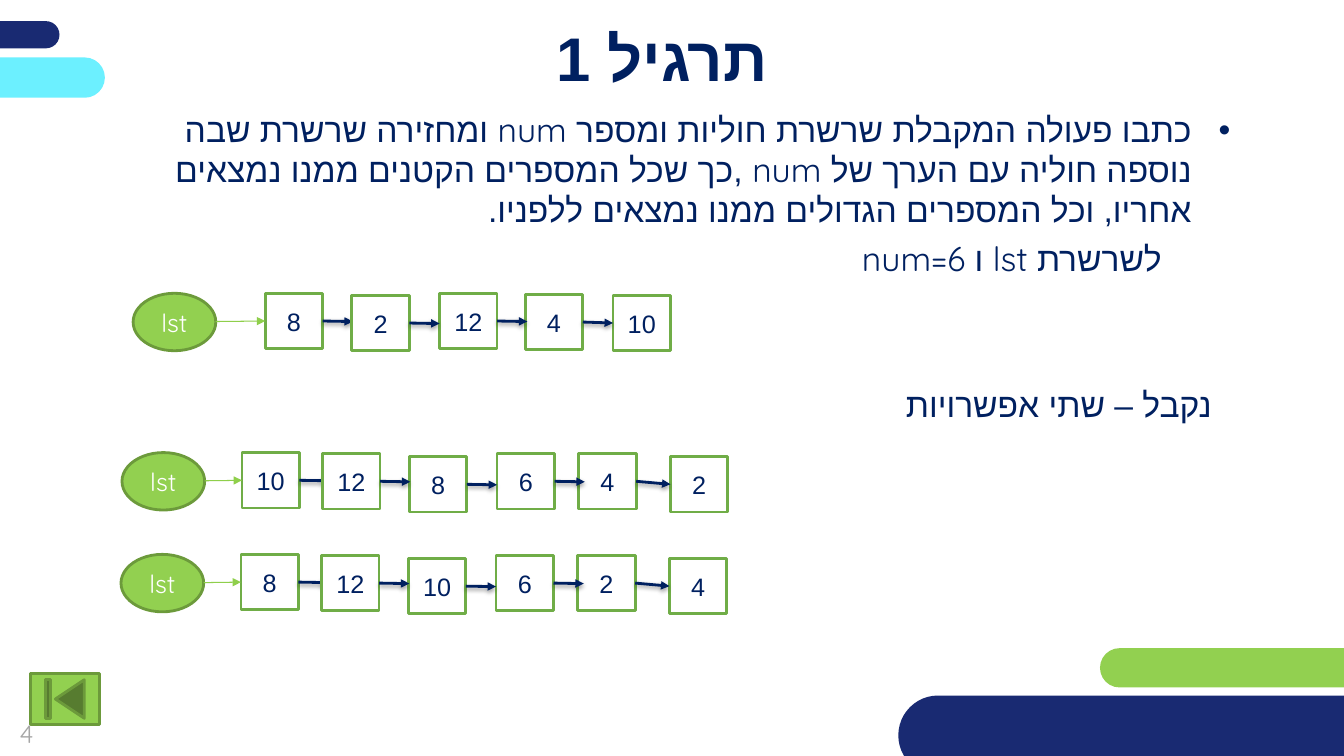
from lxml.etree import SubElement
from pptx import Presentation
from pptx.dml.color import RGBColor
from pptx.enum.shapes import MSO_CONNECTOR, MSO_SHAPE as SHAPE
from pptx.enum.text import MSO_ANCHOR as ANCHOR, PP_ALIGN as ALIGN
from pptx.oxml.ns import qn
from pptx.util import Pt

PX = 9144
FONT, HEBREW_FONT = "Quicksand", "Arial"
INK, NAVY, LIME, OLIVE, WHITE = "002060", "192A72", "92D050", "6C9A3B", "FFFFFF"
CYAN, NODE_EDGE, LST_ARROW, GREY = "6CF0FF", "70AD47", "8FCF4B", "A6A6A6"
NODE_W, NODE_H, LST_W, LST_H = 57, 55, 82, 57

GIVEN_PLACES = [(131, 0), (217, 2), (304, 0), (389, 1), (476, 2)]
RESULT_PLACES = [(119, 0), (199, 1), (285, 4), (372, 1), (453, 1), (544, 4)]
CHAINS = [
    (132, 291, GIVEN_PLACES, [8, 2, 12, 4, 10]),
    (121, 449, RESULT_PLACES, [10, 12, 8, 6, 4, 2]),
    (120, 550, RESULT_PLACES, [8, 12, 10, 6, 2, 4]),
]
BARS = [
    (-266, 21, 325, 27, NAVY),
    (1091, 643, 521, 39, LIME),
    (-221, 57, 325, 40, CYAN),
    (891, 690, 566, 79, NAVY),
]
TASK = [
    ("כתבו פעולה המקבלת שרשרת חוליות ומספר num ומחזירה שרשרת שבה נוספה חוליה עם "
     "הערך של num ,כך שכל המספרים הקטנים ממנו נמצאים אחריו, וכל המספרים הגדולים "
     "ממנו נמצאים ללפניו.", 48, -38, 0),
    ("לשרשרת lst ו num=6", 78, 0, 0),
    ("נקבל – שתי אפשרויות", 28, 0, 70),
]


def px(*lengths):
    """Turn px lengths into EMU."""
    return [length * PX for length in lengths]


def color(value):
    """Turn a hex string into a colour."""
    return RGBColor.from_string(value)


def write(paragraph, text, size, ink, align=ALIGN.CENTER, bold=False, rtl=True):
    """Add one formatted run to a paragraph."""
    paragraph.alignment = align
    if rtl:
        paragraph._p.get_or_add_pPr().set("rtl", "1")
    run = paragraph.add_run()
    run.text = text
    run.font.name, run.font.size, run.font.bold = FONT, Pt(size), bold
    run.font.color.rgb = color(ink)
    SubElement(run._r.get_or_add_rPr(), qn("a:cs"), typeface=HEBREW_FONT)


def add_figure(shapes, kind, box, fill, edge=None):
    """Add a flat preset shape with an optional outline."""
    figure = shapes.add_shape(kind, *px(*box))
    figure.shadow.inherit = False
    figure.fill.solid()
    figure.fill.fore_color.rgb = color(fill)
    if edge:
        figure.line.color.rgb = color(edge)
        figure.line.width = Pt(2)
    else:
        figure.line.fill.background()
    return figure


def add_arrow(shapes, start, tip, ink, width, shaded=False):
    """Add a straight arrow, with a soft shadow if shaded."""
    arrow = shapes.add_connector(MSO_CONNECTOR.STRAIGHT, *px(*start, *tip))
    arrow.line.color.rgb = color(ink)
    arrow.line.width = Pt(width)
    SubElement(arrow.line._get_or_add_ln(), qn("a:tailEnd"), type="triangle")
    effects = SubElement(arrow._element.spPr, qn("a:effectLst"))
    if shaded:
        shadow = SubElement(effects, qn("a:outerShdw"), blurRad="40000", dist="20000",
                            dir="5400000", rotWithShape="0")
        black = SubElement(shadow, qn("a:srgbClr"), val="000000")
        SubElement(black, qn("a:alpha"), val="38000")
    return arrow


def add_node(shapes, left, top, value):
    """Add one list node with its value."""
    node = add_figure(shapes, SHAPE.RECTANGLE, (left, top, NODE_W, NODE_H), WHITE, NODE_EDGE)
    frame = node.text_frame
    frame.margin_left = frame.margin_right = frame.margin_top = frame.margin_bottom = 0
    frame.vertical_anchor = ANCHOR.MIDDLE
    write(frame.paragraphs[0], str(value), 18, INK)
    return node


def add_chain(slide, left, top, places, values):
    """Draw a linked list: the lst pointer, its nodes and their arrows."""
    shapes = slide.shapes.add_group_shape().shapes
    last = len(values) - 1
    nodes = {}
    for index in [0, *range(last, 0, -1)]:
        x, y = left + places[index][0], top + places[index][1]
        nodes[index] = add_node(shapes, x, y, values[index])
        if index < last:
            start = (x + NODE_W, y + NODE_H // 2)
            link = add_arrow(shapes, start, (start[0] + 30, start[1] + 1), INK, 2, True)
            link.begin_connect(nodes[index], 3)
            if index == last - 1:
                link.end_connect(nodes[last], 1)
    lst = add_figure(shapes, SHAPE.OVAL, (left, top, LST_W, LST_H), LIME, OLIVE)
    lst.text_frame.vertical_anchor = ANCHOR.MIDDLE
    write(lst.text_frame.paragraphs[0], "lst", 18, WHITE)
    first = (left + places[0][0], top + NODE_H // 2)
    pointer = add_arrow(shapes, (left + LST_W, top + LST_H // 2), first, LST_ARROW, 0.75)
    pointer.end_connect(nodes[0], 1)


def add_frame(slide, left, top, width, height):
    """Add an empty wrapping text box and return its text frame."""
    frame = slide.shapes.add_textbox(*px(left, top, width, height)).text_frame
    frame.word_wrap = True
    return frame


def add_backdrop(slide):
    """Draw the rounded corner bars and the page number."""
    for *box, fill in BARS:
        bar = add_figure(slide.shapes, SHAPE.ROUNDED_RECTANGLE, box, fill)
        bar.adjustments[0] = 0.5
    page = add_frame(slide, -18, 699, 89, 57)
    page.vertical_anchor = ANCHOR.MIDDLE
    write(page.paragraphs[0], "4", 18, GREY, rtl=False)


def add_title(slide, left, top, width, height):
    """Place and format the title."""
    title = slide.shapes.title
    title.left, title.top, title.width, title.height = px(left, top, width, height)
    title.text_frame.vertical_anchor = ANCHOR.MIDDLE
    write(title.text_frame.paragraphs[0], "תרגיל 1 ", 44, INK, bold=True)


def add_task(slide, left, top, width, height):
    """Write the exercise text, bulleted where the indent hangs."""
    frame = add_frame(slide, left, top, width, height)
    for index, (text, margin, indent, before) in enumerate(TASK):
        line = frame.add_paragraph() if index else frame.paragraphs[0]
        line.line_spacing = Pt(28.5)
        line.space_before, line.space_after = Pt(before), Pt(6)
        write(line, text, 24, INK, ALIGN.RIGHT)
        layout = line._p.get_or_add_pPr()
        layout.set("marL", str(margin * PX))
        layout.set("indent", str(indent * PX))
        if indent:
            SubElement(layout, qn("a:buFont"), typeface="Arial")
            SubElement(layout, qn("a:buChar"), char="•")


def main():
    """Build the slide and save it."""
    deck = Presentation()
    deck.slide_width, deck.slide_height = px(1333, 750)
    slide = deck.slides.add_slide(deck.slide_layouts[5])
    add_backdrop(slide)
    add_title(slide, 112, 17, 1072, 79)
    add_task(slide, 99, 104, 1141, 484)
    for left, top, places, values in CHAINS:
        add_chain(slide, left, top, places, values)
    add_figure(slide.shapes, SHAPE.ACTION_BUTTON_BEGINNING, (30, 668, 69, 51), LIME, OLIVE)
    deck.save("out.pptx")


if __name__ == "__main__":
    main()
